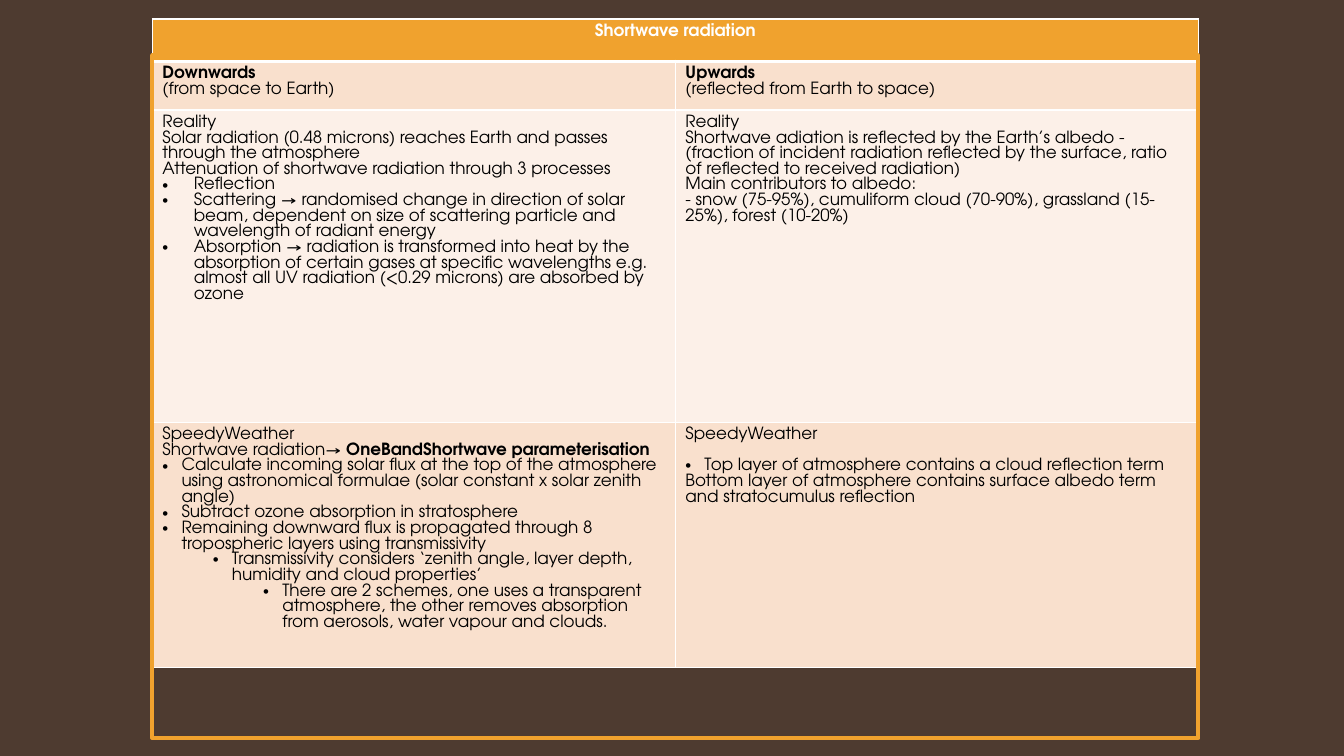
import pptx
import pptx.dml.color
import pptx.enum.shapes
import pptx.enum.text
import pptx.oxml
import pptx.oxml.ns
import pptx.util
from pptx.dml.color import RGBColor
from pptx.util import Cm

BROWN = RGBColor(0x4E, 0x3B, 0x30)
ORANGE = RGBColor(0xF0, 0xA2, 0x2E)
PEACH = RGBColor(0xF9, 0xE0, 0xCD)
CREAM = RGBColor(0xFC, 0xF0, 0xE8)
WHITE = RGBColor(0xFF, 0xFF, 0xFF)
BLACK = RGBColor(0, 0, 0)
FONT = "TeX Gyre Adventor"

LEFT, TOP, COLUMN_WIDTH = 3.84, 0.48, 13.18
ROW_HEIGHTS = [1.07, 1.22, 7.87, 6.19]
ROW_FILLS = [ORANGE, PEACH, CREAM, PEACH]
WIDE_HANG, NARROW_HANG, LEVEL_STEP = 0.79, 0.48, 1.27


def plain(text, bold=False):
    return {"text": text, "bold": bold}


def bullet(text, hang=NARROW_HANG, level=0, space_before=None):
    return {"text": text, "hang": hang, "level": level, "space_before": space_before}


HEADINGS = [
    [plain("Downwards", True), plain("(from space to Earth)")],
    [plain("Upwards", True), plain("(reflected from Earth to space)")],
]
REALITY = [
    [
        plain("Reality"),
        plain("Solar radiation (0.48 microns) reaches Earth and passes through the atmosphere"),
        plain("Attenuation of shortwave radiation through 3 processes"),
        bullet("Reflection", WIDE_HANG),
        bullet("Scattering → randomised change in direction of solar beam, dependent on size of "
               "scattering particle and wavelength of radiant energy", WIDE_HANG),
        bullet("Absorption → radiation is transformed into heat by the absorption of certain gases "
               "at specific wavelengths e.g. almost all UV radiation (<0.29 microns) are absorbed "
               "by ozone", WIDE_HANG),
    ],
    [
        plain("Reality"),
        plain("Shortwave adiation is reflected by the Earth’s albedo - (fraction of incident "
              "radiation reflected by the surface, ratio of reflected to received radiation)"),
        plain("Main contributors to albedo:\v- snow (75-95%), cumuliform cloud (70-90%), "
              "grassland (15-25%), forest (10-20%)"),
    ],
]
MODEL = [
    [
        plain("SpeedyWeather"),
        {"text": "Shortwave radiation→ ", "bold_ending": "OneBandShortwave parameterisation"},
        bullet("Calculate incoming solar flux at the top of the atmosphere using astronomical "
               "formulae (solar constant x solar zenith angle)"),
        bullet("Subtract ozone absorption in stratosphere"),
        bullet("Remaining downward flux is propagated through 8 tropospheric layers using "
               "transmissivity"),
        bullet("Transmissivity considers ‘zenith angle, layer depth, humidity and cloud "
               "properties’", level=1),
        bullet("There are 2 schemes, one uses a transparent atmosphere, the other removes "
               "absorption from aerosols, water vapour and clouds.", level=2),
    ],
    [
        plain("SpeedyWeather"),
        bullet("Top layer of atmosphere contains a cloud reflection term", space_before=11),
        plain("Bottom layer of atmosphere contains surface albedo term and stratocumulus "
              "reflection"),
    ],
]


def add_bullet(paragraph, hang, level):
    paragraph.level = level
    properties = paragraph._p.get_or_add_pPr()
    properties.set("marL", str(Cm(hang + level * LEVEL_STEP)))
    properties.set("indent", str(-Cm(hang)))
    namespace = pptx.oxml.ns.nsdecls("a")
    properties.append(pptx.oxml.parse_xml(f'<a:buFont {namespace} typeface="Arial"/>'))
    properties.append(pptx.oxml.parse_xml(f'<a:buChar {namespace} char="•"/>'))


def write_paragraph(paragraph, item, color=BLACK):
    paragraph.text = item["text"]
    if "hang" in item:
        add_bullet(paragraph, item["hang"], item["level"])
    if item.get("space_before"):
        paragraph.space_before = pptx.util.Pt(item["space_before"])
    font = paragraph.font
    font.name, font.size = FONT, pptx.util.Pt(12)
    font.color.rgb = color
    if "bold_ending" in item:
        ending = paragraph.add_run()
        ending.text = item["bold_ending"]
        ending.font.bold = True
    else:
        font.bold = item.get("bold", False)


def fill_cell(cell, items):
    frame = cell.text_frame
    for index, item in enumerate(items):
        paragraph = frame.add_paragraph() if index else frame.paragraphs[0]
        write_paragraph(paragraph, item)


def set_borders(cell, row):
    """White rules, with a heavier one under the title row."""
    widths = {"lnL": 1, "lnR": 1, "lnT": 3 if row == 1 else 1, "lnB": 3 if row == 0 else 1}
    properties = cell._tc.get_or_add_tcPr()
    for position, (tag, width) in enumerate(widths.items()):
        properties.insert(position, pptx.oxml.parse_xml(
            f'<a:{tag} {pptx.oxml.ns.nsdecls("a")} w="{pptx.util.Pt(width)}">'
            f'<a:solidFill><a:srgbClr val="{WHITE}"/></a:solidFill></a:{tag}>'))


def add_radiation_table(slide):
    table = slide.shapes.add_table(
        len(ROW_HEIGHTS), 2, Cm(LEFT), Cm(TOP), Cm(2 * COLUMN_WIDTH), Cm(sum(ROW_HEIGHTS))).table
    table.first_row = table.horz_banding = False
    for column in table.columns:
        column.width = Cm(COLUMN_WIDTH)
    for row, (height, color) in enumerate(zip(ROW_HEIGHTS, ROW_FILLS)):
        table.rows[row].height = Cm(height)
        for cell in table.rows[row].cells:
            cell.fill.solid()
            cell.fill.fore_color.rgb = color
            set_borders(cell, row)

    # Title row across both columns
    title = table.cell(0, 0)
    title.merge(table.cell(0, 1))
    paragraph = title.text_frame.paragraphs[0]
    write_paragraph(paragraph, plain("Shortwave radiation", True), WHITE)
    paragraph.alignment = pptx.enum.text.PP_ALIGN.CENTER

    # Body rows
    for row, contents in enumerate([HEADINGS, REALITY, MODEL], start=1):
        for column, items in enumerate(contents):
            fill_cell(table.cell(row, column), items)


def add_frame(slide):
    frame = slide.shapes.add_shape(
        pptx.enum.shapes.MSO_SHAPE.RECTANGLE,
        Cm(LEFT), Cm(1.4), Cm(2 * COLUMN_WIDTH), Cm(17.2))
    frame.shadow.inherit = False
    frame.fill.background()
    frame.line.color.rgb = ORANGE
    frame.line.width = pptx.util.Pt(3)


def main():
    presentation = pptx.Presentation()
    presentation.slide_width, presentation.slide_height = Cm(33.87), Cm(19.05)
    slide = presentation.slides.add_slide(presentation.slide_layouts[6])
    slide.background.fill.solid()
    slide.background.fill.fore_color.rgb = BROWN
    add_radiation_table(slide)
    add_frame(slide)
    presentation.save("out.pptx")


if __name__ == "__main__":
    main()
